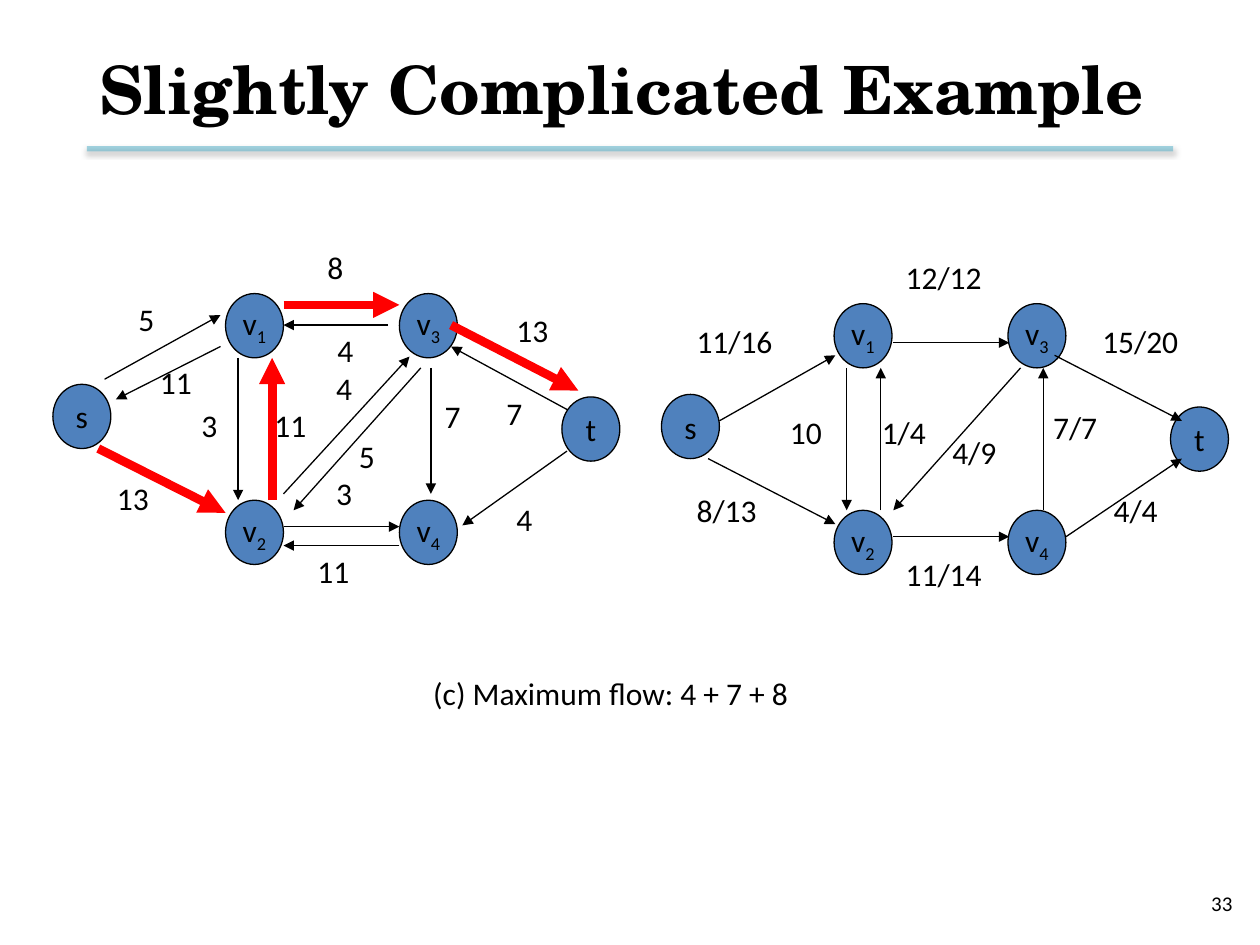
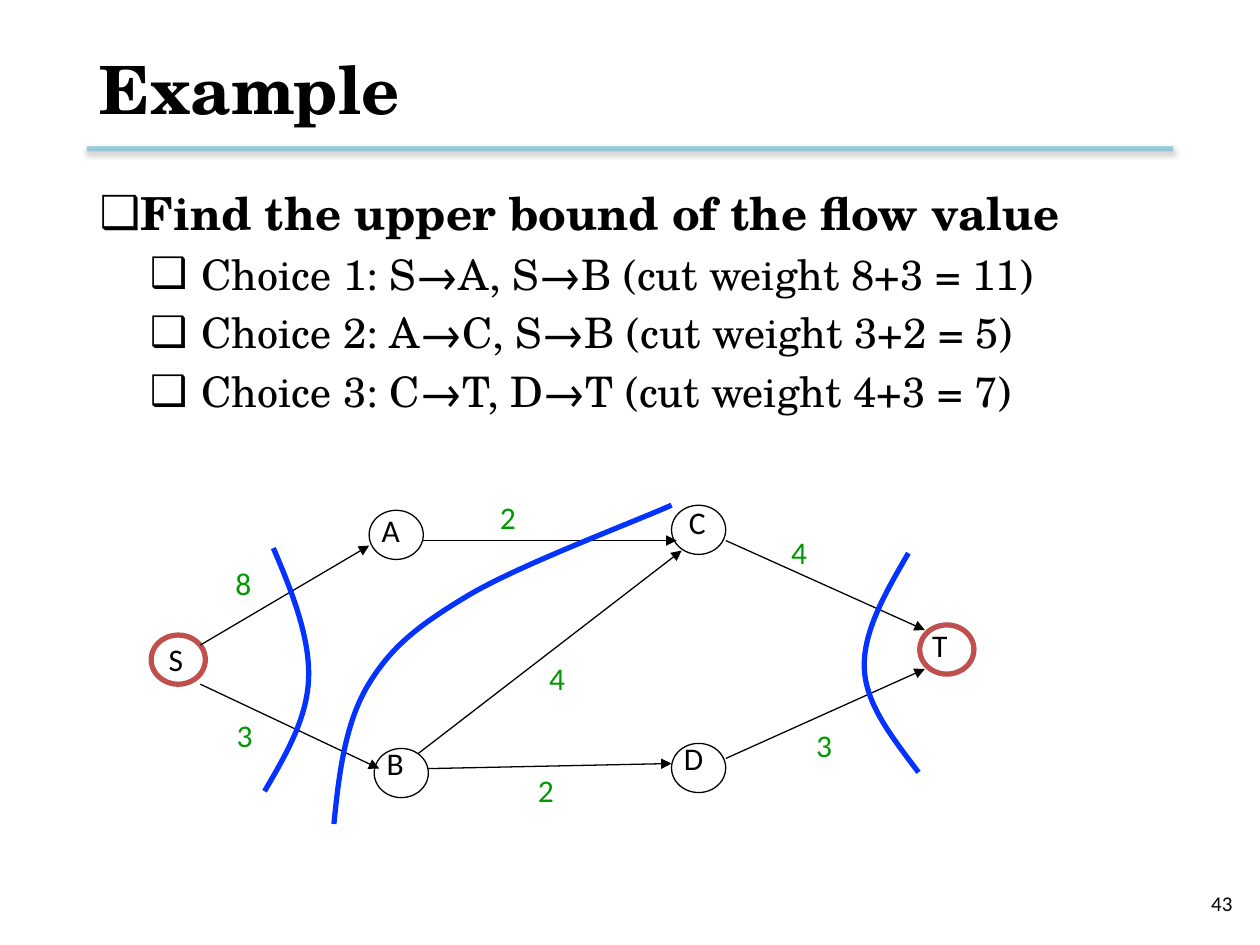
from dataclasses import dataclass
from typing import NamedTuple

from lxml import etree
from pptx import Presentation, util as u
from pptx.dml.color import RGBColor
from pptx.enum import shapes, text
from pptx.oxml.ns import qn


@dataclass(frozen=True)
class Theme:
    heading_font: str = "TeX Gyre Schola"
    label_font: str = "Calibri"
    ink: str = "000000"
    paper: str = "FFFFFF"
    rule: str = "4BACC6"
    vertex: str = "4F81BD"
    augmenting: str = "FF0000"
    terminal: str = "C0504D"
    cut: str = "0432FF"
    weight: str = "009900"
    title_pt: int = 38
    body_pt: tuple = (26, 24)
    label_pt: int = 18
    number_pt: int = 12
    thin_pt: float = 0.75
    cut_pt: float = 3
    path_pt: float = 5


THEME = Theme()
SLIDE_W, SLIDE_H = u.Inches(10), u.Inches(7.5)
COLUMN, ROW = SLIDE_W / 10, SLIDE_H / 7.5
MARGIN, CONTENT_W = 0.69, 8.62
VERTEX_SIZE = (0.46, 0.51)
NODE_SIZE = (0.43, 0.39)
BULLET_INDENTS = ((0.25, -0.45), (0.81, -0.41))


class Vertex(NamedTuple):
    name: str
    x: float
    y: float
    subscript: str = ""


class Node(NamedTuple):
    name: str
    x: float
    y: float
    name_dx: float
    name_dy: float
    line: str = THEME.ink
    line_pt: float = THEME.thin_pt


class Edge(NamedTuple):
    x1: float
    y1: float
    x2: float
    y2: float
    color: str = THEME.ink
    width_pt: float = THEME.thin_pt


class Label(NamedTuple):
    words: str
    x: float
    y: float


def augmenting(x1: float, y1: float, x2: float, y2: float) -> Edge:
    return Edge(x1, y1, x2, y2, THEME.augmenting, THEME.path_pt)


VERTICES = (
    Vertex("s", 0.42, 3.05), Vertex("t", 4.46, 3.15),
    Vertex("v", 1.79, 2.33, "1"), Vertex("v", 1.79, 3.97, "2"),
    Vertex("v", 3.17, 2.33, "3"), Vertex("v", 3.17, 3.97, "4"),
)
FLOW_OFFSET = (4.83, 0.08)

RESIDUAL_EDGES = (
    Edge(0.83, 3.01, 1.75, 2.5), Edge(1.75, 2.75, 0.92, 3.17),
    augmenting(0.78, 3.56, 1.79, 4.07), augmenting(2.16, 3.97, 2.16, 2.84),
    augmenting(2.25, 2.42, 3.17, 2.42), augmenting(3.58, 2.58, 4.59, 3.1),
    Edge(1.89, 2.84, 1.89, 3.97), Edge(3.08, 2.58, 2.25, 2.58),
    Edge(3.34, 2.92, 2.33, 4.05), Edge(2.25, 3.92, 3.25, 2.83),
    Edge(2.25, 4.18, 3.17, 4.18), Edge(3.17, 4.33, 2.25, 4.33),
    Edge(3.42, 2.92, 3.42, 3.92), Edge(4.5, 3.58, 3.67, 4.17),
    Edge(4.5, 3.25, 3.58, 2.75),
)
RESIDUAL_LABELS = (
    Label("5", 1, 2.33), Label("11", 1.17, 2.83), Label("13", 0.83, 3.75),
    Label("8", 2.5, 1.92), Label("4", 2.58, 2.58), Label("4", 2.57, 2.88),
    Label("3", 1.5, 3.17), Label("11", 2.08, 3.17), Label("5", 2.75, 3.42),
    Label("3", 2.57, 3.71), Label("11", 2.42, 4.33), Label("7", 3.43, 3.1),
    Label("7", 3.92, 3.08), Label("13", 4, 2.42), Label("4", 4, 3.92),
)
FLOW_EDGES = (
    Edge(5.71, 3.34, 6.63, 2.82), Edge(5.62, 3.64, 6.63, 4.16),
    Edge(7.09, 2.72, 8.01, 2.72), Edge(7.09, 4.26, 8.01, 4.26),
    Edge(8.37, 2.82, 9.38, 3.34), Edge(8.46, 4.26, 9.38, 3.64),
    Edge(6.72, 2.92, 6.72, 4.05), Edge(6.99, 4.05, 6.99, 2.92),
    Edge(8.28, 4.05, 8.28, 2.92), Edge(8.1, 2.92, 7.09, 4.05),
)
FLOW_LABELS = (
    Label("11/16", 5.43, 2.51), Label("8/13", 5.43, 3.85),
    Label("12/12", 7.09, 2), Label("11/14", 7.09, 4.36),
    Label("10", 6.17, 3.23), Label("1/4", 6.9, 3.23),
    Label("4/9", 7.46, 3.39), Label("7/7", 8.26, 3.19),
    Label("15/20", 8.65, 2.51), Label("4/4", 8.74, 3.85),
)

CUT_NODES = (
    Node("S", 1.2, 5.04, 0.04, -0.01, THEME.terminal, THEME.cut_pt),
    Node("A", 2.93, 4.05, 0, -0.04), Node("B", 2.97, 5.94, 0, -0.08),
    Node("C", 5.33, 4.01, 0.04, -0.07), Node("D", 5.33, 5.9, 0, -0.08),
    Node("T", 7.3, 4.96, 0, -0.04, THEME.terminal, THEME.cut_pt),
)
CUT_EDGES = (
    Edge(1.59, 5.12, 2.93, 4.33), Edge(1.59, 5.43, 3.01, 6.1),
    Edge(3.36, 4.29, 5.37, 4.29), Edge(3.4, 6.1, 5.33, 6.06),
    Edge(3.32, 5.98, 5.41, 4.37), Edge(5.76, 4.29, 7.34, 5),
    Edge(5.76, 6.02, 7.34, 5.31),
)
CUT_WEIGHTS = (
    Label("8", 1.77, 4.43), Label("3", 1.78, 5.63), Label("2", 3.87, 3.9),
    Label("4", 4.26, 5.18), Label("2", 4.17, 6.07), Label("4", 6.18, 4.18),
    Label("3", 6.38, 5.71),
)
CUT_CURVES = (
    ((2.17, 4.35), (2.32, 4.7), (2.46, 5.06), (2.45, 5.38),
     (2.44, 5.7), (2.27, 5.99), (2.1, 6.28)),
    ((7.21, 4.39), (7.03, 4.7), (6.85, 5.01), (6.86, 5.3),
     (6.87, 5.59), (7.08, 5.85), (7.29, 6.13)),
    ((2.65, 6.54), (2.69, 6.14), (2.74, 5.74), (2.92, 5.44),
     (3.1, 5.14), (3.31, 4.97), (3.71, 4.73),
     (4.11, 4.49), (4.99, 4.16), (5.33, 4.01)),
)
CHOICES = (
    "Find the upper bound of the flow value",
    "Choice 1: S→A, S→B (cut weight 8+3 = 11)",
    "Choice 2: A→C, S→B (cut weight 3+2 = 5)",
    "Choice 3: C→T, D→T (cut weight 4+3 = 7)",
)


def cols(count: float) -> int:
    return round(count * COLUMN)


def rows(count: float) -> int:
    return round(count * ROW)


def grid_box(x: float, y: float, w: float, h: float) -> tuple:
    return cols(x), rows(y), cols(w), rows(h)


def style(font, size: float, color: str = THEME.ink, face: str = THEME.label_font,
          bold: bool = False) -> None:
    font.name, font.size, font.bold = face, u.Pt(size), bold
    font.color.rgb = RGBColor.from_string(color)


def stroke(line, color: str, width_pt: float) -> None:
    line.color.rgb = RGBColor.from_string(color)
    line.width = u.Pt(width_pt)


def add_line(slide, edge: Edge):
    """Draw a plain line and return it with its empty effect list."""
    line = slide.shapes.add_connector(
        shapes.MSO_CONNECTOR.STRAIGHT,
        cols(edge.x1), rows(edge.y1), cols(edge.x2), rows(edge.y2))
    stroke(line.line, edge.color, edge.width_pt)
    return line, etree.SubElement(line._element.spPr, qn("a:effectLst"))


def add_arrow(slide, edge: Edge) -> None:
    line, _ = add_line(slide, edge)
    outline = line._element.spPr.find(qn("a:ln"))
    etree.SubElement(outline, qn("a:tailEnd"), type="triangle")


def add_title_rule(slide) -> None:
    line, effects = add_line(
        slide, Edge(MARGIN, 1.18, MARGIN + CONTENT_W, 1.18, THEME.rule, 3))
    tint = line._element.spPr.find(".//" + qn("a:srgbClr"))
    etree.SubElement(tint, qn("a:alpha"), val="50000")
    shadow = etree.SubElement(effects, qn("a:outerShdw"), blurRad=str(u.Pt(3.1)),
                              dist=str(u.Pt(1.6)), dir="5400000", rotWithShape="0")
    shade = etree.SubElement(shadow, qn("a:srgbClr"), val=THEME.ink)
    etree.SubElement(shade, qn("a:alpha"), val="38000")


def add_words(slide, words: str, box: tuple, size: float = THEME.label_pt,
              color: str = THEME.ink):
    frame = slide.shapes.add_textbox(*grid_box(*box)).text_frame
    frame.word_wrap = True
    frame.text = words
    style(frame.paragraphs[0].runs[0].font, size, color)
    return frame


def add_label(slide, label: Label, color: str = THEME.ink) -> None:
    width = 0.22 + 0.15 * len(label.words)
    add_words(slide, label.words, (label.x, label.y, width, 0.5), color=color)


def add_ellipse(slide, box: tuple, fill: str, line: str, line_pt: float):
    ellipse = slide.shapes.add_shape(shapes.MSO_SHAPE.OVAL, *grid_box(*box))
    ellipse.shadow.inherit = False
    ellipse.fill.solid()
    ellipse.fill.fore_color.rgb = RGBColor.from_string(fill)
    stroke(ellipse.line, line, line_pt)
    return ellipse


def add_vertex(slide, vertex: Vertex, dx: float, dy: float) -> None:
    box = (vertex.x + dx, vertex.y + dy, *VERTEX_SIZE)
    frame = add_ellipse(slide, box, THEME.vertex, THEME.ink, THEME.thin_pt).text_frame
    frame.word_wrap = False
    frame.vertical_anchor = text.MSO_ANCHOR.MIDDLE
    frame.text = vertex.name
    name = frame.paragraphs[0]
    name.alignment = text.PP_ALIGN.CENTER
    if vertex.subscript:
        index = name.add_run()
        index.text = vertex.subscript
        index.font._element.set("baseline", "-25000")
    for run in name.runs:
        style(run.font, THEME.label_pt)


def add_node(slide, node: Node) -> None:
    add_ellipse(slide, (node.x, node.y, *NODE_SIZE), THEME.paper, node.line, node.line_pt)
    add_label(slide, Label(node.name, node.x + node.name_dx, node.y + node.name_dy))


def add_cut(slide, points: tuple) -> None:
    """Draw a chain of Bézier curves: a start, then three points per curve."""
    start, *others = [(cols(x), rows(y)) for x, y in points]
    builder = slide.shapes.build_freeform(*start)
    builder.add_line_segments(others, close=False)
    curve = builder.convert_to_shape()
    curve.shadow.inherit = False
    curve.fill.background()
    stroke(curve.line, THEME.cut, THEME.cut_pt)
    outline = curve._element.spPr.find(".//" + qn("a:path"))
    segments = outline.findall(qn("a:lnTo"))
    for first in range(0, len(segments), 3):
        bezier = etree.SubElement(outline, qn("a:cubicBezTo"))
        for segment in segments[first:first + 3]:
            bezier.append(segment[0])
            outline.remove(segment)


def place(holder, box: tuple) -> None:
    holder.left, holder.top, holder.width, holder.height = grid_box(*box)
    holder.text_frame.auto_size = text.MSO_AUTO_SIZE.NONE


def add_slide(deck, layout: str, heading: str, number: str):
    slide = deck.slides.add_slide(deck.slide_layouts.get_by_name(layout))
    title = slide.shapes.title
    place(title, (MARGIN, 0.17, CONTENT_W, 1.06))
    title.text_frame.text = heading
    title.text_frame.vertical_anchor = text.MSO_ANCHOR.MIDDLE
    line = title.text_frame.paragraphs[0]
    line.alignment = text.PP_ALIGN.LEFT
    style(line.runs[0].font, THEME.title_pt, face=THEME.heading_font, bold=True)
    add_title_rule(slide)
    footer = add_words(slide, number, (7.55, 6.97, 2.33, 0.4), THEME.number_pt)
    footer.vertical_anchor = text.MSO_ANCHOR.MIDDLE
    footer.paragraphs[0].alignment = text.PP_ALIGN.RIGHT
    return slide


def fill_choices(body) -> None:
    place(body, (MARGIN, 1.42, CONTENT_W, 5.1))
    body.text_frame.text = "\n".join(CHOICES)
    for position, choice in enumerate(body.text_frame.paragraphs):
        choice.level = min(position, 1)
        margin, indent = BULLET_INDENTS[choice.level]
        props = choice._p.get_or_add_pPr()
        props.set("marL", str(cols(margin)))
        props.set("indent", str(cols(indent)))
        etree.SubElement(props, qn("a:buChar"), char="❑")
        style(choice.runs[0].font, THEME.body_pt[choice.level],
              face=THEME.heading_font, bold=choice.level == 0)


def build_flow_slide(deck) -> None:
    slide = add_slide(deck, "Title Only", "Slightly Complicated Example", "33")
    graphs = (((0, 0), RESIDUAL_EDGES, RESIDUAL_LABELS),
              (FLOW_OFFSET, FLOW_EDGES, FLOW_LABELS))
    for offset, edges, labels in graphs:
        for vertex in VERTICES:
            add_vertex(slide, vertex, *offset)
        for edge in edges:
            add_arrow(slide, edge)
        for label in labels:
            add_label(slide, label)
    add_words(slide, "(c) Maximum flow: 4 + 7 + 8", (3.34, 5.3, 3.1, 0.4))


def build_cut_slide(deck) -> None:
    slide = add_slide(deck, "Title and Content", "Example", "43")
    fill_choices(slide.placeholders[1])
    for node in CUT_NODES:
        add_node(slide, node)
    for edge in CUT_EDGES:
        add_arrow(slide, edge)
    for curve in CUT_CURVES:
        add_cut(slide, curve)
    for weight in CUT_WEIGHTS:
        add_label(slide, weight, THEME.weight)


def main() -> None:
    deck = Presentation()
    deck.slide_width, deck.slide_height = SLIDE_W, SLIDE_H
    build_flow_slide(deck)
    build_cut_slide(deck)
    deck.save("out.pptx")


if __name__ == "__main__":
    main()
